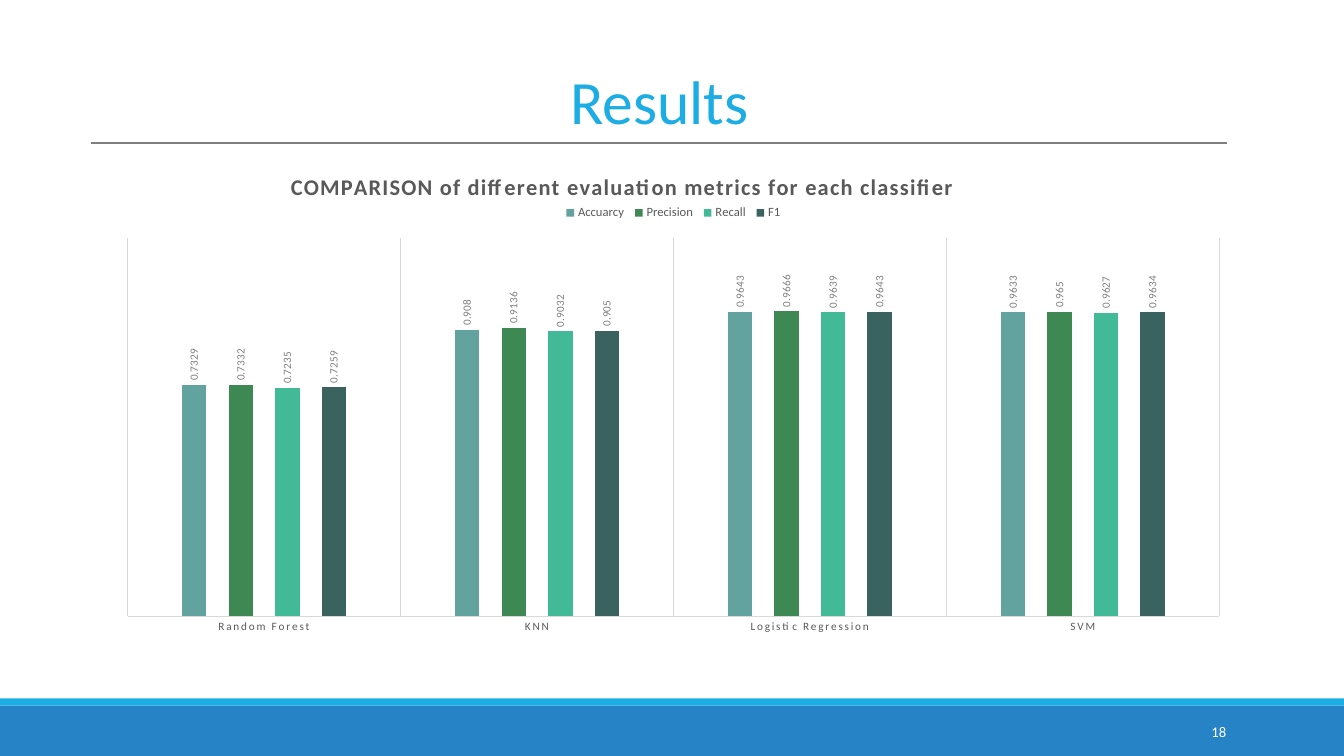
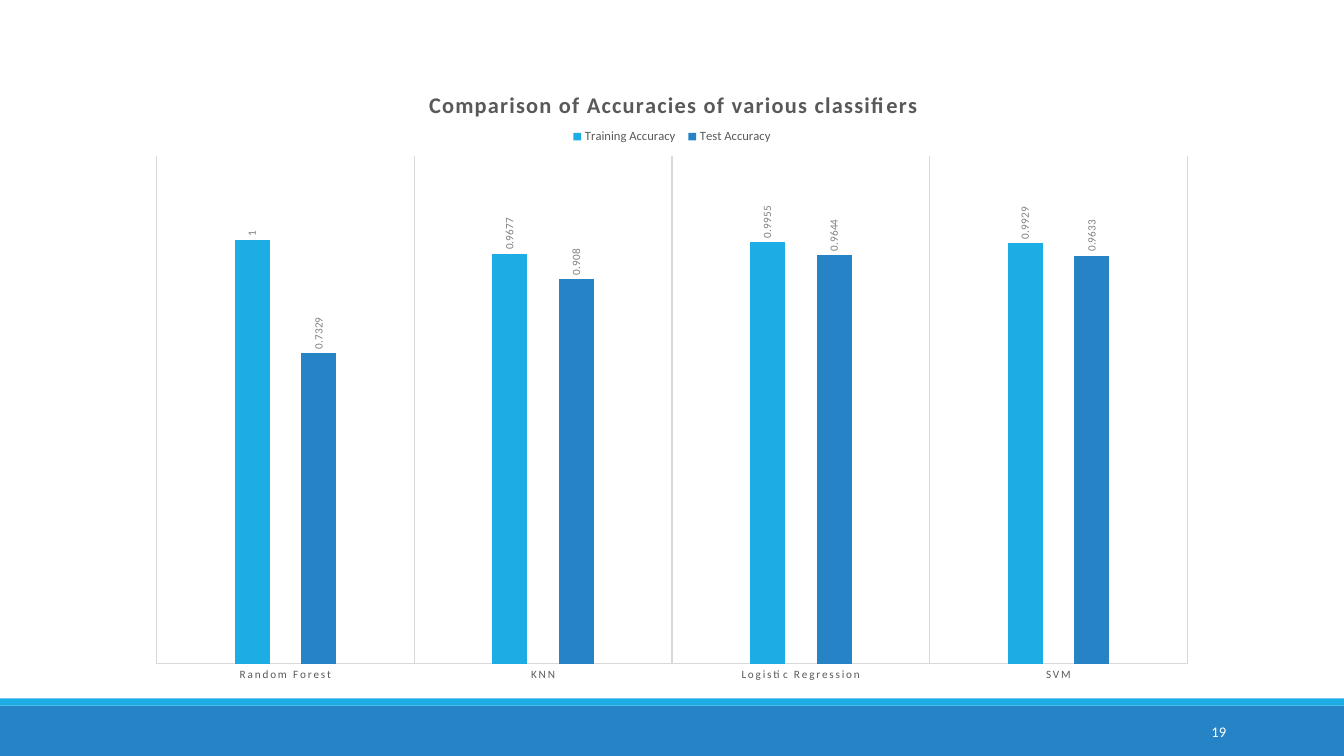
from lxml import etree
from pptx import Presentation
from pptx.chart.data import CategoryChartData
from pptx.dml.color import RGBColor
from pptx.enum import chart as ch, shapes, text
from pptx.oxml import ns
from pptx.util import Inches, Pt

FONT = "Calibri"
BLUE, SKY, WHITE = "2683C6", "1CADE4", "FFFFFF"
DARK, GRAY, RULE, PALE = "595959", "808080", "7F7F7F", "D9D9D9"
CLASSIFIERS = ["Random Forest", "KNN", "Logistic Regression", "SVM"]


def rgb(value):
    return RGBColor.from_string(value)


def style_font(font, size, color, bold=False):
    values = {"name": FONT, "size": Pt(size), "bold": bold}
    for name, value in values.items():
        setattr(font, name, value)
    font.color.rgb = rgb(color)


def style_line(line, color, width):
    line.color.rgb = rgb(color)
    line.width = Pt(width)


def add_band(s, top, height, color):
    sp = s.shapes.add_shape(shapes.MSO_SHAPE.RECTANGLE, 0, Inches(top),
                            Inches(13.33), Inches(height))
    sp.shadow.inherit = False
    sp.fill.solid()
    sp.fill.fore_color.rgb = rgb(color)
    sp.line.fill.background()


def add_text(s, box, words, size, color, align, anchor):
    tf = s.shapes.add_textbox(*map(Inches, box)).text_frame
    tf.word_wrap = True
    tf.vertical_anchor = anchor
    p = tf.paragraphs[0]
    p.alignment = align
    r = p.add_run()
    r.text = words
    style_font(r.font, size, color)


def new_slide(prs, number):
    """Blank slide with the footer bands and page number."""
    s = prs.slides.add_slide(prs.slide_layouts[6])
    add_band(s, 7, 0.5, BLUE)
    add_band(s, 6.93, 0.07, SKY)
    add_text(s, (10.83, 7.06, 1.43, 0.4), number, 10.5, WHITE,
             text.PP_ALIGN.RIGHT, text.MSO_ANCHOR.MIDDLE)
    return s


def add_heading(s, words):
    """Centred slide title with a rule beneath it."""
    add_text(s, (1.06, 0.58, 10.96, 0.84), words, 44, SKY,
             text.PP_ALIGN.CENTER, text.MSO_ANCHOR.TOP)
    rule = s.shapes.add_connector(shapes.MSO_CONNECTOR.STRAIGHT, Inches(0.9),
                                  Inches(1.42), Inches(12.17), Inches(1.42))
    style_line(rule.line, RULE, 1)
    etree.SubElement(rule._element.spPr, ns.qn("a:effectLst"))


def set_layout(element, index, inner=False, **fractions):
    """Place a chart part by fractions (x, y, w, h) of the chart box."""
    for old in element.findall(ns.qn("c:layout")):
        element.remove(old)
    layout = etree.Element(ns.qn("c:layout"))
    manual = etree.SubElement(layout, ns.qn("c:manualLayout"))
    settings = {"layoutTarget": "inner"} if inner else {}
    settings.update(xMode="edge", yMode="edge")
    settings.update(fractions)
    for name, value in settings.items():
        etree.SubElement(manual, ns.qn("c:" + name)).set("val", str(value))
    element.insert(index, layout)


def add_comparison(s, box, title, series, title_at, legend_y, plot_y, plot_h):
    """Column chart of one score per classifier and series."""
    data = CategoryChartData()
    data.categories = CLASSIFIERS
    for name, _, values in series:
        data.add_series(name, values)
    chart = s.shapes.add_chart(ch.XL_CHART_TYPE.COLUMN_CLUSTERED,
                               *map(Inches, box), data).chart
    style_font(chart.font, 10, "000000")
    space = chart._chartSpace

    # Title
    chart.has_title = True
    p = chart.chart_title.text_frame.paragraphs[0]
    r = p.add_run()
    r.text = title
    style_font(r.font, 16, DARK, bold=True)
    r.font._element.set("spc", "100")
    set_layout(space.xpath("//c:title")[0], 1, x=title_at[0], y=title_at[1])

    # Legend
    chart.has_legend = True
    chart.legend.position = ch.XL_LEGEND_POSITION.TOP
    chart.legend.include_in_layout = False
    style_font(chart.legend.font, 9, DARK)
    set_layout(space.xpath("//c:legend")[0], 1, x=0.4, y=legend_y, w=0.2, h=0.04)

    # Axes
    axis = chart.category_axis
    axis.major_tick_mark = ch.XL_TICK_MARK.NONE
    axis.has_major_gridlines = True
    style_line(axis.major_gridlines.format.line, PALE, 0.75)
    style_line(axis.format.line, PALE, 0.75)
    style_font(axis.tick_labels.font, 8, DARK)
    axis.tick_labels.font._element.set("spc", "120")
    scores = {"minimum_scale": 0, "maximum_scale": 1.2,
              "has_major_gridlines": False, "visible": False}
    for name, value in scores.items():
        setattr(chart.value_axis, name, value)

    # Columns and upright value labels
    plot = chart.plots[0]
    for name, value in {"gap_width": 444, "overlap": -90,
                        "vary_by_categories": False}.items():
        setattr(plot, name, value)
    for column, (_, color, _) in zip(plot.series, series):
        column.format.fill.solid()
        column.format.fill.fore_color.rgb = rgb(color)
        labels = column.data_labels
        labels.show_value = True
        labels.position = ch.XL_LABEL_POSITION.OUTSIDE_END
        style_font(labels.font, 8, GRAY)
        body = labels._element.xpath("c:txPr/a:bodyPr")[0]
        body.set("rot", "-5400000")
        body.set("vert", "horz")
    set_layout(space.xpath("//c:plotArea")[0], 0, inner=True,
               x=0.02, y=plot_y, w=0.96, h=plot_h)


def main():
    prs = Presentation()
    prs.slide_width, prs.slide_height = Inches(13.33), Inches(7.5)

    # Metrics
    s = new_slide(prs, "18")
    add_heading(s, "Results")
    add_comparison(
        s, (1.04, 1.42, 11.28, 4.94),
        "COMPARISON of different evaluation metrics for each classifier",
        [("Accuarcy", "62A39F", (0.7329, 0.908, 0.9643, 0.9633)),
         ("Precision", "3E8853", (0.7332, 0.9136, 0.9666, 0.965)),
         ("Recall", "42BA97", (0.7235, 0.9032, 0.9639, 0.9627)),
         ("F1", "3A6360", (0.7259, 0.905, 0.9643, 0.9634))],
        title_at=(0.16, 0.05), legend_y=0.12, plot_y=0.19, plot_h=0.76)

    # Training and test accuracy
    s = new_slide(prs, "19")
    add_comparison(
        s, (1.34, 0.6, 10.65, 6.3),
        "Comparison of Accuracies of various classifiers",
        [("Training Accuracy", SKY, (1, 0.9677, 0.9955, 0.9929)),
         ("Test Accuracy", BLUE, (0.7329, 0.908, 0.9644, 0.9633))],
        title_at=(0.27, 0.04), legend_y=0.1, plot_y=0.15, plot_h=0.8)

    prs.save("out.pptx")


if __name__ == "__main__":
    main()
